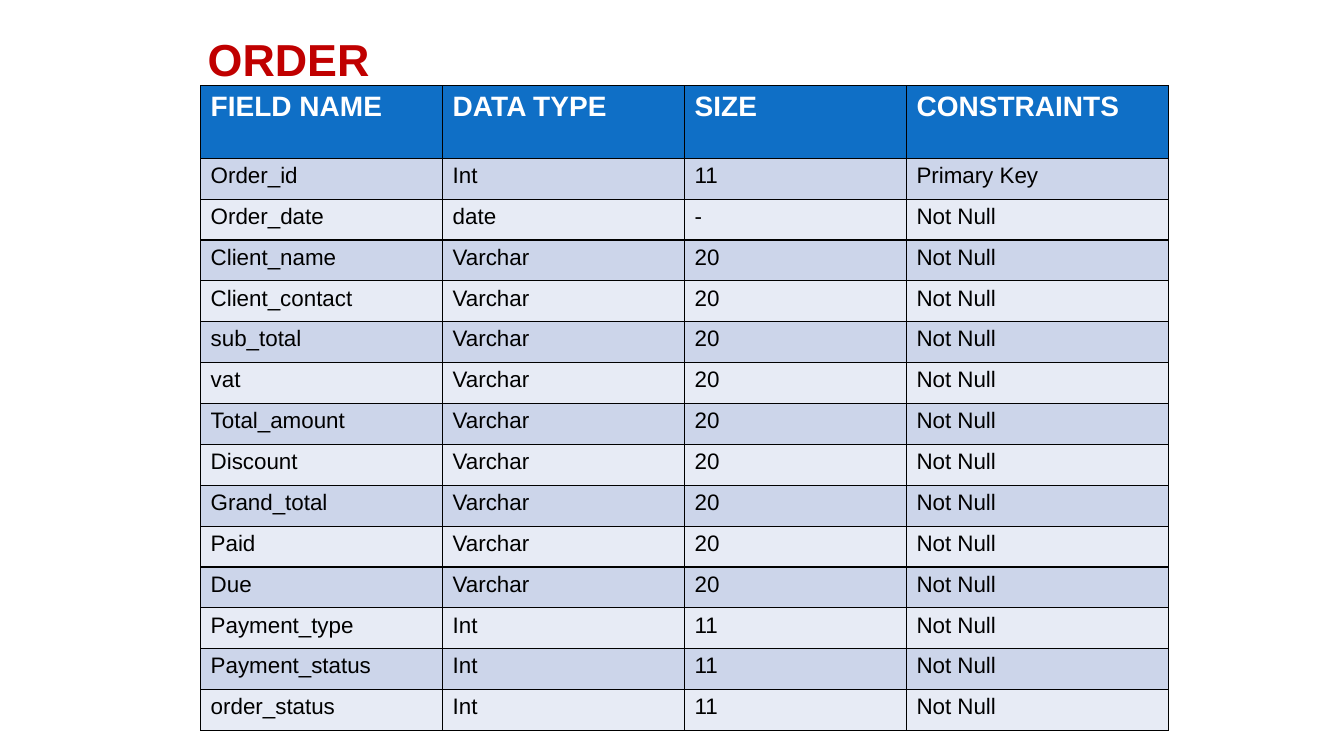
from pptx import Presentation
from pptx.dml.color import RGBColor
from pptx.enum.text import MSO_ANCHOR, PP_ALIGN
from pptx.oxml import parse_xml
from pptx.oxml.ns import nsdecls
from pptx.util import Inches, Pt

JUSTIFY, LEFT = PP_ALIGN.JUSTIFY, PP_ALIGN.LEFT
BOTTOM = MSO_ANCHOR.BOTTOM

# Content
TITLE = "ORDER"
HEADER = ("FIELD NAME", "DATA TYPE", "SIZE", "CONSTRAINTS")
FIELDS = [
    ("Order_id", "Int", "11", "Primary Key"),
    ("Order_date", "date", "-", "Not Null"),
    ("Client_name", "Varchar", "20", "Not Null"),
    ("Client_contact", "Varchar", "20", "Not Null"),
    ("sub_total", "Varchar", "20", "Not Null"),
    ("vat", "Varchar", "20", "Not Null"),
    ("Total_amount", "Varchar", "20", "Not Null"),
    ("Discount", "Varchar", "20", "Not Null"),
    ("Grand_total", "Varchar", "20", "Not Null"),
    ("Paid", "Varchar", "20", "Not Null"),
    ("Due", "Varchar", "20", "Not Null"),
    ("Payment_type", "Int", "11", "Not Null"),
    ("Payment_status", "Int", "11", "Not Null"),
    ("order_status", "Int", "11", "Not Null"),
]

# Style and layout, in inches
FONT = "Arial"
RED, BLUE, WHITE, BLACK = "C00000", "0F6FC6", "FFFFFF", "000000"
BANDS = ("CCD5EA", "E7EBF5")
TABLE_LEFT, TABLE_TOP, TABLE_HEIGHT = 1.99, 0.85, 6.4
COLUMN_WIDTHS = (2.4, 2.4, 2.2, 2.6)
HEADER_HEIGHT = 0.72
FIELD_HEIGHT = (TABLE_HEIGHT - HEADER_HEIGHT) / len(FIELDS)
TITLE_LEFT, TITLE_WIDTH, TITLE_HEIGHT = 2.06, 11.04, 0.66


def color(hex_value):
    return RGBColor.from_string(hex_value)


def write(text_frame, text, size, hex_value, bold, alignment):
    text_frame.text = text
    paragraph = text_frame.paragraphs[0]
    paragraph.alignment = alignment
    font = paragraph.runs[0].font
    font.name, font.size, font.bold = FONT, Pt(size), bold
    font.color.rgb = color(hex_value)


def add_borders(cell):
    properties = cell._tc.get_or_add_tcPr()
    for index, side in enumerate(("lnL", "lnR", "lnT", "lnB")):
        border = parse_xml(
            f'<a:{side} {nsdecls("a")} w="{Pt(1)}"><a:solidFill>'
            f'<a:srgbClr val="{BLACK}"/></a:solidFill></a:{side}>')
        properties.insert(index, border)


def add_title(slide):
    box = slide.shapes.add_textbox(
        Inches(TITLE_LEFT), Inches(TABLE_TOP - TITLE_HEIGHT),
        Inches(TITLE_WIDTH), Inches(TITLE_HEIGHT))
    text_frame = box.text_frame
    text_frame.word_wrap = True
    text_frame.vertical_anchor = BOTTOM
    text_frame.margin_left = text_frame.margin_right = text_frame.margin_bottom = 0
    text_frame.margin_top = Inches(0.05)
    write(text_frame, TITLE, 32, RED, True, LEFT)


def add_field_table(slide):
    rows = [HEADER] + FIELDS
    table = slide.shapes.add_table(
        len(rows), len(HEADER), Inches(TABLE_LEFT), Inches(TABLE_TOP),
        Inches(sum(COLUMN_WIDTHS)), Inches(TABLE_HEIGHT)).table
    for column, width in zip(table.columns, COLUMN_WIDTHS):
        column.width = Inches(width)
    for row_index, values in enumerate(rows):
        is_header = row_index == 0
        table.rows[row_index].height = Inches(HEADER_HEIGHT if is_header else FIELD_HEIGHT)
        fill = BLUE if is_header else BANDS[(row_index - 1) % 2]
        size, text_color = (20, WHITE) if is_header else (16, BLACK)
        for column_index, value in enumerate(values):
            cell = table.cell(row_index, column_index)
            cell.fill.solid()
            cell.fill.fore_color.rgb = color(fill)
            add_borders(cell)
            write(cell.text_frame, value, size, text_color, is_header, JUSTIFY)


def main():
    presentation = Presentation()
    presentation.slide_width = Inches(13.33)
    presentation.slide_height = Inches(7.5)
    slide = presentation.slides.add_slide(presentation.slide_layouts[6])
    add_title(slide)
    add_field_table(slide)
    presentation.save("out.pptx")


if __name__ == "__main__":
    main()
